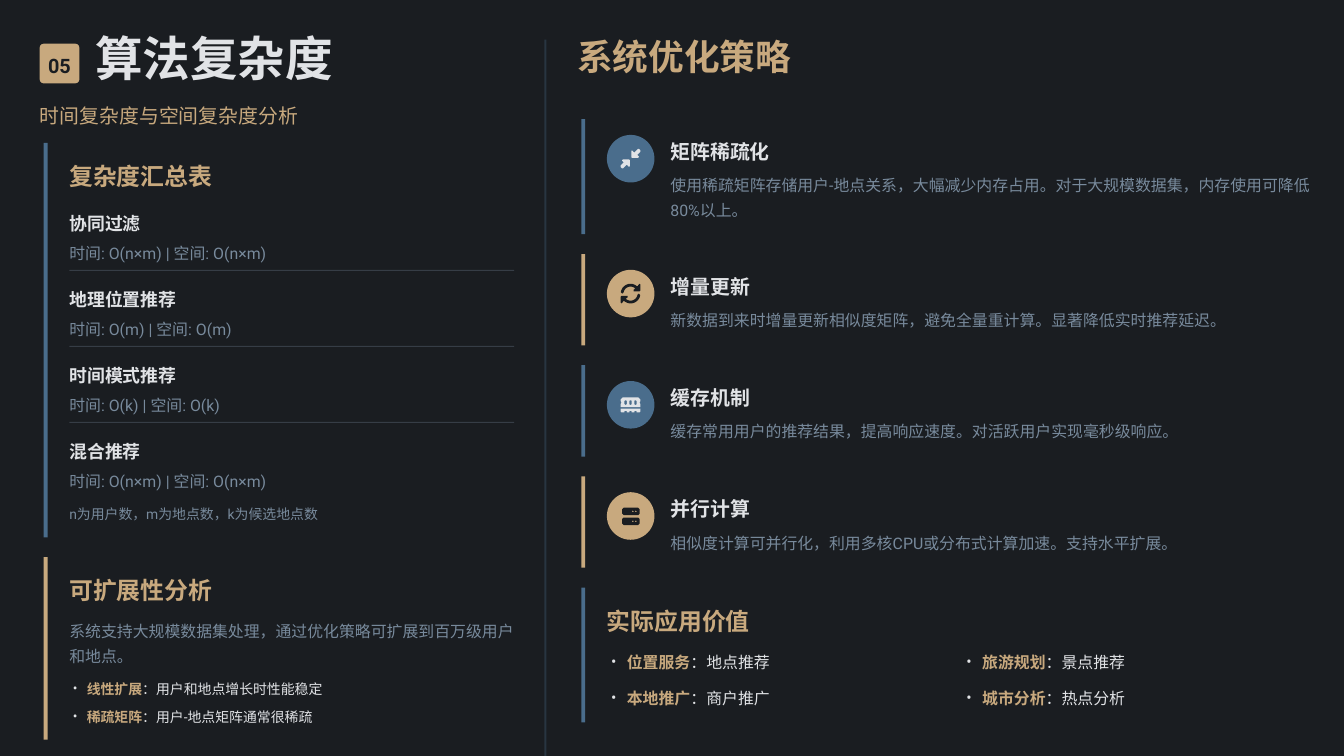
import math

import pptx
import pptx.dml.color
import pptx.enum.shapes
import pptx.enum.text
import pptx.oxml
import pptx.oxml.ns
import pptx.util
from lxml import etree

Pt = pptx.util.Pt
SHAPE = pptx.enum.shapes.MSO_SHAPE
ALIGN = pptx.enum.text.PP_ALIGN
ANCHOR = pptx.enum.text.MSO_ANCHOR
qn = pptx.oxml.ns.qn

COLORS = {"night": "1A1D21", "steel": "4A6D8C", "sand": "C8A97E",
          "white": "E1E3E6", "slate": "788A9C"}
FONT = "Roboto"
BAR, INDENT, GAP = 3.8, 24.4, 18.9

ALGORITHMS = [("协同过滤", "n×m"), ("地理位置推荐", "m"),
              ("时间模式推荐", "k"), ("混合推荐", "n×m")]
STRATEGIES = [
    ("compress", 109.6, "矩阵稀疏化",
     "使用稀疏矩阵存储用户-地点关系，大幅减少内存占用。对于大规模数据集，内存使用可降低80%以上。"),
    ("refresh", 87, "增量更新", "新数据到来时增量更新相似度矩阵，避免全量重计算。显著降低实时推荐延迟。"),
    ("memory", 87, "缓存机制", "缓存常用用户的推荐结果，提高响应速度。对活跃用户实现毫秒级响应。"),
    ("server", 87, "并行计算", "相似度计算可并行化，利用多核CPU或分布式计算加速。支持水平扩展。"),
]
SCALING = [("线性扩展", "用户和地点增长时性能稳定"), ("稀疏矩阵", "用户-地点矩阵通常很稀疏")]
USES = [[("位置服务", "地点推荐"), ("本地推广", "商户推广")],
        [("旅游规划", "景点推荐"), ("城市分析", "热点分析")]]


def rgb(color):
    return pptx.dml.color.RGBColor.from_string(COLORS[color])


def paint(shape, color):
    shape.shadow.inherit = False
    shape.fill.solid()
    shape.fill.fore_color.rgb = rgb(color)
    shape.line.fill.background()
    return shape


def set_font(font, size, color, bold):
    font.name, font.size, font.bold = FONT, Pt(size), bold
    font.color.rgb = rgb(color)


def prepare_frame(shape, anchor):
    frame = shape.text_frame
    frame.word_wrap = True
    frame.auto_size = pptx.enum.text.MSO_AUTO_SIZE.NONE
    frame.margin_left = frame.margin_right = frame.margin_top = frame.margin_bottom = 0
    frame.vertical_anchor = anchor
    return frame


def place(shape, x, y, w, h):
    shape.left, shape.top, shape.width, shape.height = Pt(x), Pt(y), Pt(w), Pt(h)


def write(shape, text, size, color, bold=False, spacing=1.2, align=ALIGN.LEFT):
    frame = prepare_frame(shape, ANCHOR.MIDDLE)
    frame.text = text
    line = frame.paragraphs[0]
    line.alignment, line.line_spacing, line.space_before = align, spacing, Pt(0)
    set_font(line.runs[0].font, size, color, bold)


def add_text(slide, x, y, w, h, *style, **options):
    write(slide.shapes.add_textbox(Pt(x), Pt(y), Pt(w), Pt(h)), *style, **options)


def add_bar(slide, x, y, h, color):
    paint(slide.shapes.add_shape(SHAPE.RECTANGLE, Pt(x), Pt(y), Pt(BAR), Pt(h)), color)


def add_rule(slide, x1, y1, x2, y2, color, width):
    """Straight line at 30% opacity."""
    rule = slide.shapes.add_connector(pptx.enum.shapes.MSO_CONNECTOR.STRAIGHT,
                                      Pt(x1), Pt(y1), Pt(x2), Pt(y2))
    rule.line.width = Pt(width)
    rule.line.color.rgb = rgb(color)
    tint = rule.line._ln.find(".//" + qn("a:srgbClr"))
    etree.SubElement(tint, qn("a:alpha"), val="30000")
    etree.SubElement(rule._element.spPr, qn("a:effectLst"))


def fill_list(body, items, x, y, w, pitch, size):
    """Bulleted list with a highlighted term at the head of each item."""
    place(body, x, y, w, pitch * len(items))
    frame = prepare_frame(body, ANCHOR.TOP)
    for i, (term, meaning) in enumerate(items):
        item = frame.add_paragraph() if i else frame.paragraphs[0]
        item.line_spacing, item.space_before = Pt(pitch), Pt(0)
        props = item._p.get_or_add_pPr()
        props.set("marL", str(Pt(size * 1.26)))
        props.set("indent", str(-Pt(size)))
        tint = etree.SubElement(props, qn("a:buClr"))
        etree.SubElement(tint, qn("a:srgbClr"), val=COLORS["white"])
        etree.SubElement(props, qn("a:buFont"), typeface=FONT)
        etree.SubElement(props, qn("a:buChar"), char="•")
        for text, color, bold in ((term, "sand", True), ("：" + meaning, "white", False)):
            run = item.add_run()
            run.text = text
            set_font(run.font, size, color, bold)


def block(x1, y1, x2, y2, cut=0):
    """Rectangle outline with its corners cut off."""
    return [(x1 + cut, y1), (x2 - cut, y1), (x2, y1 + cut), (x2, y2 - cut),
            (x2 - cut, y2), (x1 + cut, y2), (x1, y2 - cut), (x1, y1 + cut)]


def arc(radius, start, stop):
    angles = [math.radians(start + (stop - start) * i / 12) for i in range(13)]
    return [(13 + radius * math.cos(a), 13 + radius * math.sin(a)) for a in angles]


def with_opposite(outline):
    return [outline, [(26 - x, 26 - y) for x, y in outline]]


def icon_outlines(kind):
    """Outlines on a 26 by 26 grid; holes run in the opposite direction."""
    if kind == "compress":
        return with_opposite([(23, 0), (24, 0), (26, 2), (26, 4), (22, 8), (24, 10),
                              (24, 11), (23, 12), (15, 12), (14, 11), (14, 3),
                              (15, 2), (16, 3), (18, 5)])
    if kind == "refresh":
        return with_opposite([(25, 10), (26, 9), (26, 1), (25, 0), (24, 1)]
                             + arc(13, -47, -171) + [(2, 13)] + arc(9.3, -171, -47)
                             + [(17, 8), (17, 10), (18, 10)])
    if kind == "memory":
        slots = (5, 11.5, 18)
        chip = [(3, 3), (23, 3), (26, 6), (26, 8), (25, 10), (26, 12), (26, 16),
                (0, 16), (0, 12), (1, 10), (0, 8), (0, 6)]
        pins = [(0, 18), (26, 18), (26, 22), (25, 23)]
        for x in reversed(slots):
            pins += [(x + 3, 23), (x + 3, 21.5), (x + 2, 21), (x + 1, 21), (x, 21.5), (x, 23)]
        holes = [block(x, 7, x + 3, 13, 0.8)[::-1] for x in slots]
        return [chip, pins + [(1, 23), (0, 22)]] + holes
    units = [block(2, y, 25, y + 10, 2) for y in (2, 15)]
    lights = [block(x, y, x + 2, y + 2, 0.6)[::-1] for y in (6, 19) for x in (15, 19)]
    return units + lights


def add_icon(slide, kind, x, y, color):
    outlines = [[(px * 10, py * 10) for px, py in outline] for outline in icon_outlines(kind)]
    builder = slide.shapes.build_freeform(*outlines[0][0], scale=Pt(0.72) / 10)
    for i, outline in enumerate(outlines):
        if i:
            builder.move_to(*outline[0])
        builder.add_line_segments(outline[1:], close=True)
    paint(builder.convert_to_shape(Pt(x), Pt(y)), color)


def add_header(slide, title, subtitle, x, y):
    badge = slide.shapes.add_shape(SHAPE.ROUNDED_RECTANGLE, Pt(x), Pt(y + 3.8), Pt(37.8), Pt(37.8))
    badge.adjustments[0] = 0.1
    write(paint(badge, "sand"), "05", 18.9, "night", bold=True, align=ALIGN.CENTER)
    place(title, x + 52.9, y - 0.3, 249, 45.4)
    write(title, "算法复杂度", 45.3, "white", bold=True, spacing=0.8)
    place(subtitle, x, y + 56.5, 459, 26.5)
    write(subtitle, "时间复杂度与空间复杂度分析", 18.9, "sand")


def add_panel(slide, heading, x, y, w, h, color):
    add_bar(slide, x, y, h, color)
    add_text(slide, x + INDENT, y + 15.1, w, 30.2, heading, 22.7, "sand", bold=True, spacing=1.1)


def add_summary(slide, x, y, w, h):
    add_panel(slide, "复杂度汇总表", x, y, w, h, "steel")
    left = x + INDENT
    for i, (name, order) in enumerate(ALGORITHMS):
        top = y + 60.5 + 72.4 * i
        add_text(slide, left, top, w, 26.5, name, 17, "white", bold=True, spacing=1.3)
        add_text(slide, left, top + 30.2, w, 22.7, f"时间: O({order}) | 空间: O({order})",
                 15.1, "slate", spacing=1.3)
        if i < len(ALGORITHMS) - 1:
            add_rule(slide, left, top + 61, left + 423.6, top + 61, "slate", 0.95)
    add_text(slide, left, y + 342, w, 18.9, "n为用户数，m为地点数，k为候选地点数", 13.2, "slate")


def add_scaling(slide, body, x, y, w, h):
    add_panel(slide, "可扩展性分析", x, y, w, h, "sand")
    add_text(slide, x + INDENT, y + 56.7, w, 45.4,
             "系统支持大规模数据集处理，通过优化策略可扩展到百万级用户和地点。",
             15.1, "slate", spacing=1.3)
    fill_list(body, SCALING, x + INDENT, y + 106.4, w, 26.7, 13.2)


def add_strategy(slide, strategy, x, y, w, color, icon_color):
    kind, h, name, detail = strategy
    add_bar(slide, x, y, h, color)
    disc = slide.shapes.add_shape(SHAPE.OVAL, Pt(x + INDENT), Pt(y + 15.1), Pt(45.3), Pt(45.3))
    paint(disc, color)
    add_icon(slide, kind, x + INDENT + 13.2, y + 28.4, icon_color)
    left = x + 84.9
    add_text(slide, left, y + 15.1, w, 26.5, name, 18.9, "white", bold=True)
    add_text(slide, left, y + 49.2, w, h - 64.2, detail, 15.1, "slate", spacing=1.3)


def add_uses(slide, bodies, x, y, w, h):
    add_panel(slide, "实际应用价值", x, y, w, h, "steel")
    for i, (body, uses) in enumerate(zip(bodies, USES)):
        fill_list(body, uses, x + INDENT + 338.4 * i, y + 45.6, 334, 34.4, 15.1)


def main():
    deck = pptx.Presentation()
    deck.slide_width, deck.slide_height = Pt(1280), Pt(720)
    slide = deck.slides.add_slide(deck.slide_layouts[4])
    slide.background.fill.solid()
    slide.background.fill.fore_color.rgb = rgb("night")
    title, subtitle, scaling, *uses = slide.placeholders

    add_rule(slide, 519.4, 37.8, 519.4, 720, "steel", 1.9)
    add_header(slide, title, subtitle, 37.8, 37.8)
    add_summary(slide, 41.6, 136, 430.5, 375.8)
    add_scaling(slide, scaling, 41.6, 136 + 375.8 + GAP, 430.5, 173.8)

    add_text(slide, 549.6, 37.5, 709, 37.8, "系统优化策略", 34, "sand", bold=True, spacing=0.9)
    top = 113.4
    for i, strategy in enumerate(STRATEGIES):
        tones = ("sand", "night") if i % 2 else ("steel", "white")
        add_strategy(slide, strategy, 553.6, top, 613, *tones)
        top += strategy[1] + GAP
    add_uses(slide, uses, 553.6, top, 677, 128.4)
    deck.save("out.pptx")


if __name__ == "__main__":
    main()
